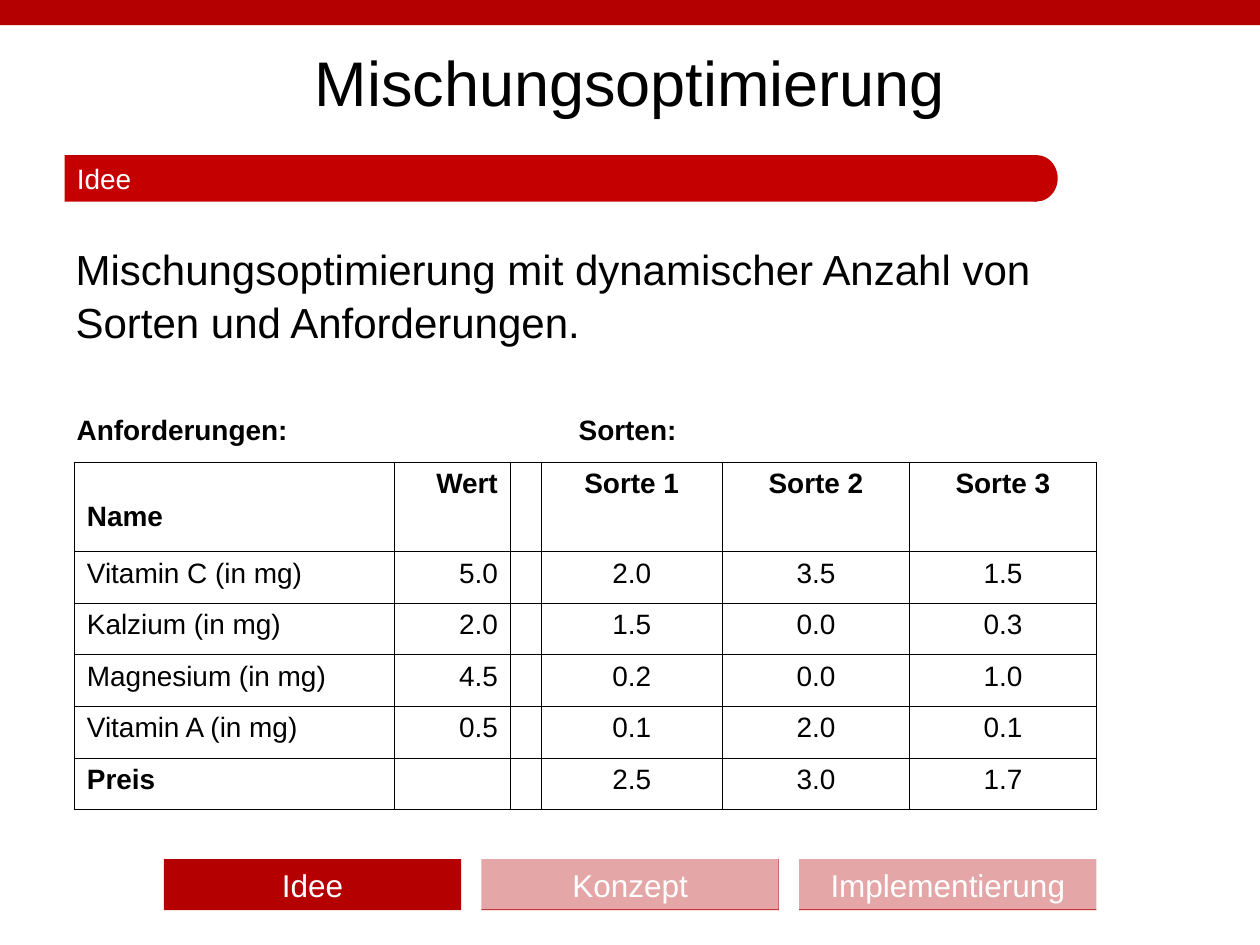
from lxml.etree import SubElement
from pptx import Presentation
from pptx.dml.color import RGBColor
from pptx.enum.shapes import MSO_SHAPE
from pptx.enum.text import MSO_ANCHOR, MSO_AUTO_SIZE, PP_ALIGN
from pptx.oxml.ns import qn
from pptx.util import Pt

TITLE = "Mischungsoptimierung"
BODY = "Mischungsoptimierung mit dynamischer Anzahl von \vSorten und Anforderungen."
TOPIC = "Idee"
HEADS = "Anforderungen:\tSorten:"
STEPS = ["Idee", "Konzept", "Implementierung"]
ROWS = [
    ("Name", "Wert", "", "Sorte 1", "Sorte 2", "Sorte 3"),
    ("Vitamin C (in mg)", "5.0", "", "2.0", "3.5", "1.5"),
    ("Kalzium (in mg)", "2.0", "", "1.5", "0.0", "0.3"),
    ("Magnesium (in mg)", "4.5", "", "0.2", "0.0", "1.0"),
    ("Vitamin A (in mg)", "0.5", "", "0.1", "2.0", "0.1"),
    ("Preis", "", "", "2.5", "3.0", "1.7"),
]
LEFT, RIGHT, MID = PP_ALIGN.LEFT, PP_ALIGN.RIGHT, PP_ALIGN.CENTER
ALIGNS = [LEFT, RIGHT, MID, MID, MID, MID]
WIDTHS = [182.9, 66.3, 17.5, 103.7, 106.9, 106.8]
HEIGHTS = [51] + [29.5] * 5
DARK, RED, WHITE, BLACK = "B40000", "C40000", "FFFFFF", "000000"


def rgb(code):
    """Turn a hex string into a colour."""
    return RGBColor.from_string(code)


def style(para, size, color=BLACK, align=LEFT, bold=False):
    """Set the font and alignment of a paragraph."""
    font = para.font
    font.name, font.size, font.bold = "Arial", Pt(size), bold
    font.color.rgb = rgb(color)
    para.alignment = align


def place(shape, x, y, w, h):
    """Move and size a shape."""
    shape.left, shape.top, shape.width, shape.height = Pt(x), Pt(y), Pt(w), Pt(h)


def block(slide, box, color, text="", size=16, align=LEFT, kind=MSO_SHAPE.RECTANGLE):
    """Add a filled shape without outline, with optional white text."""
    shape = slide.shapes.add_shape(kind, *map(Pt, box))
    shape.shadow.inherit = False
    shape.fill.solid()
    shape.fill.fore_color.rgb = rgb(color)
    shape.line.fill.background()
    if text:
        frame = shape.text_frame
        frame.text = text
        frame.vertical_anchor = MSO_ANCHOR.MIDDLE
        style(frame.paragraphs[0], size, WHITE, align)
    return shape


def veil(slide, box):
    """Add a translucent white cover."""
    shape = block(slide, box, WHITE)
    tint = shape.fill._xPr.find(qn("a:solidFill"))[0]
    SubElement(tint, qn("a:alpha"), val="65000")


def border(cell):
    """Draw thin black lines round a cell."""
    props = cell._tc.get_or_add_tcPr()
    for spot, side in enumerate(("lnL", "lnR", "lnT", "lnB")):
        line = SubElement(props, qn("a:" + side), w=str(int(Pt(0.45))))
        fill = SubElement(line, qn("a:solidFill"))
        SubElement(fill, qn("a:srgbClr"), val=BLACK)
        props.insert(spot, line)


def add_grid(slide):
    """Add the table of requirements and sorts."""
    size = Pt(42.5), Pt(264.2), Pt(sum(WIDTHS)), Pt(sum(HEIGHTS))
    table = slide.shapes.add_table(len(ROWS), len(WIDTHS), *size).table
    table.first_row = table.horz_banding = False
    for col, width in zip(table.columns, WIDTHS):
        col.width = Pt(width)
    for r, row in enumerate(ROWS):
        table.rows[r].height = Pt(HEIGHTS[r])
        for c, text in enumerate(row):
            cell = table.cell(r, c)
            cell.text = text
            cell.fill.background()
            bold = r == 0 or text == "Preis"
            style(cell.text_frame.paragraphs[0], 16, BLACK, ALIGNS[c], bold)
            border(cell)
    table.cell(0, 0).margin_top = Pt(22)


def add_text(slide):
    """Fill the title, the body and the table headings."""
    title, body = slide.placeholders
    place(title, 0, 15.8, 720, 61.2)
    place(body, 36, 133.9, 648, 348.5)
    for shape, text, size in ((title, TITLE, 36), (body, BODY, 24)):
        frame = shape.text_frame
        frame.text = text
        frame.auto_size = MSO_AUTO_SIZE.NONE
        style(frame.paragraphs[0], size, BLACK, MID if shape is title else LEFT)
    title.text_frame.vertical_anchor = MSO_ANCHOR.MIDDLE
    para = body.text_frame.paragraphs[0]
    para.space_before, para.line_spacing = Pt(6), 1.05
    props = para._p.get_or_add_pPr()
    props.set("marL", "0")
    props.set("indent", "0")
    mark = SubElement(props, qn("a:buNone"))
    props.find(qn("a:defRPr")).addprevious(mark)

    frame = slide.shapes.add_textbox(Pt(36.7), Pt(231.8), Pt(541.4), Pt(26.6)).text_frame
    frame.word_wrap = True
    frame.vertical_anchor = MSO_ANCHOR.MIDDLE
    frame.text = HEADS
    para = frame.paragraphs[0]
    style(para, 16, bold=True)
    props = para._p.get_or_add_pPr()
    tabs = SubElement(props, qn("a:tabLst"))
    SubElement(tabs, qn("a:tab"), pos=str(int(Pt(286.9))), algn="l")
    props.find(qn("a:defRPr")).addprevious(tabs)


def main():
    """Build the slide and save it."""
    deck = Presentation()
    deck.slide_width, deck.slide_height = Pt(720), Pt(540)
    slide = deck.slides.add_slide(deck.slide_layouts[1])
    add_text(slide)
    block(slide, (0, 0, 720, 14.4), DARK)
    for i, step in enumerate(STEPS):
        block(slide, (93.6 + 181.5 * i, 491, 170, 29.1), DARK, step, 18, MID)
    for x in (265, 450.7):
        veil(slide, (x, 488.9, 180, 30.8))
    block(slide, (36.9, 88.6, 555.6, 26.6), RED, TOPIC)
    block(slide, (580, 88.6, 24.4, 26.6), RED, kind=MSO_SHAPE.OVAL)
    add_grid(slide)
    deck.save("out.pptx")


if __name__ == "__main__":
    main()
